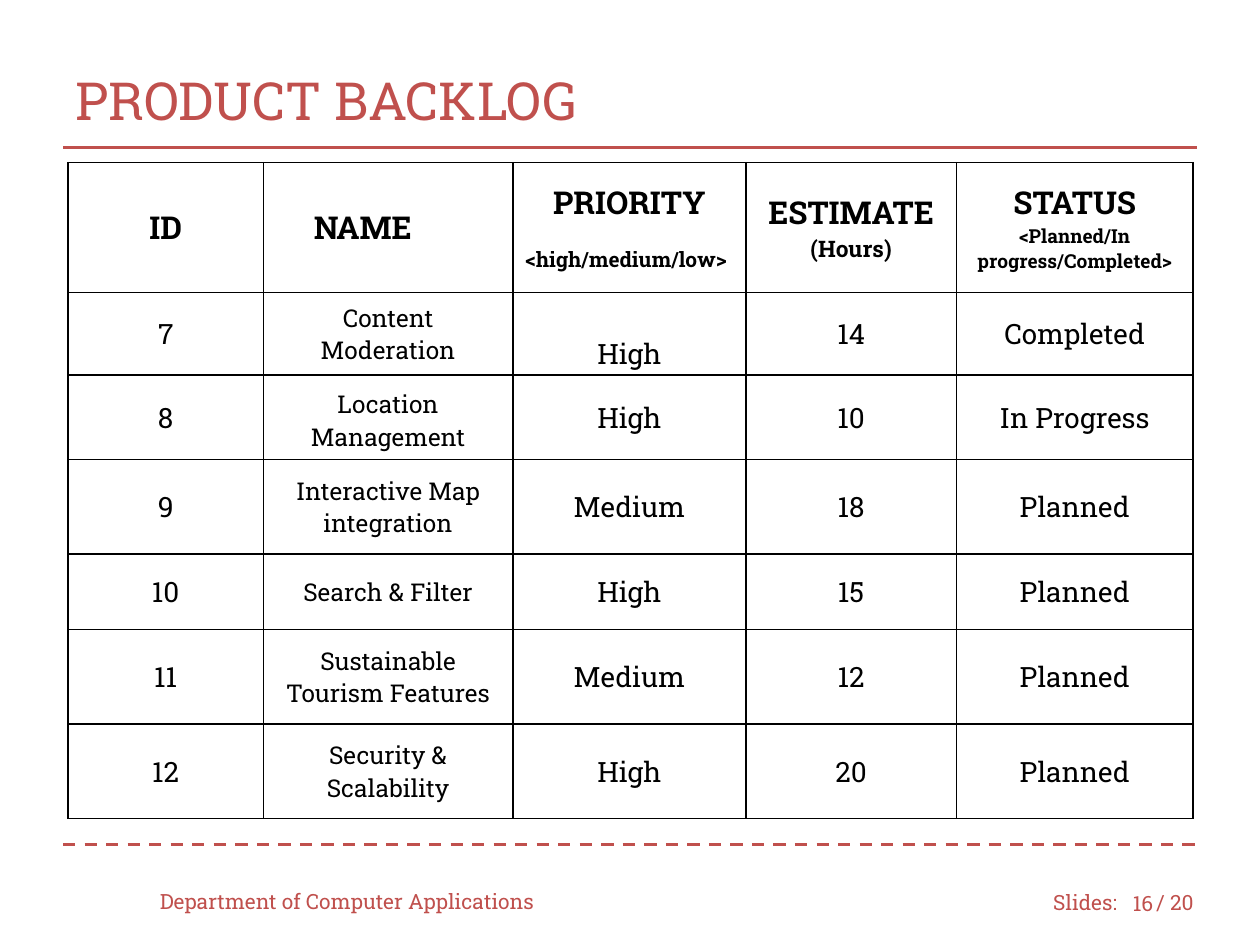
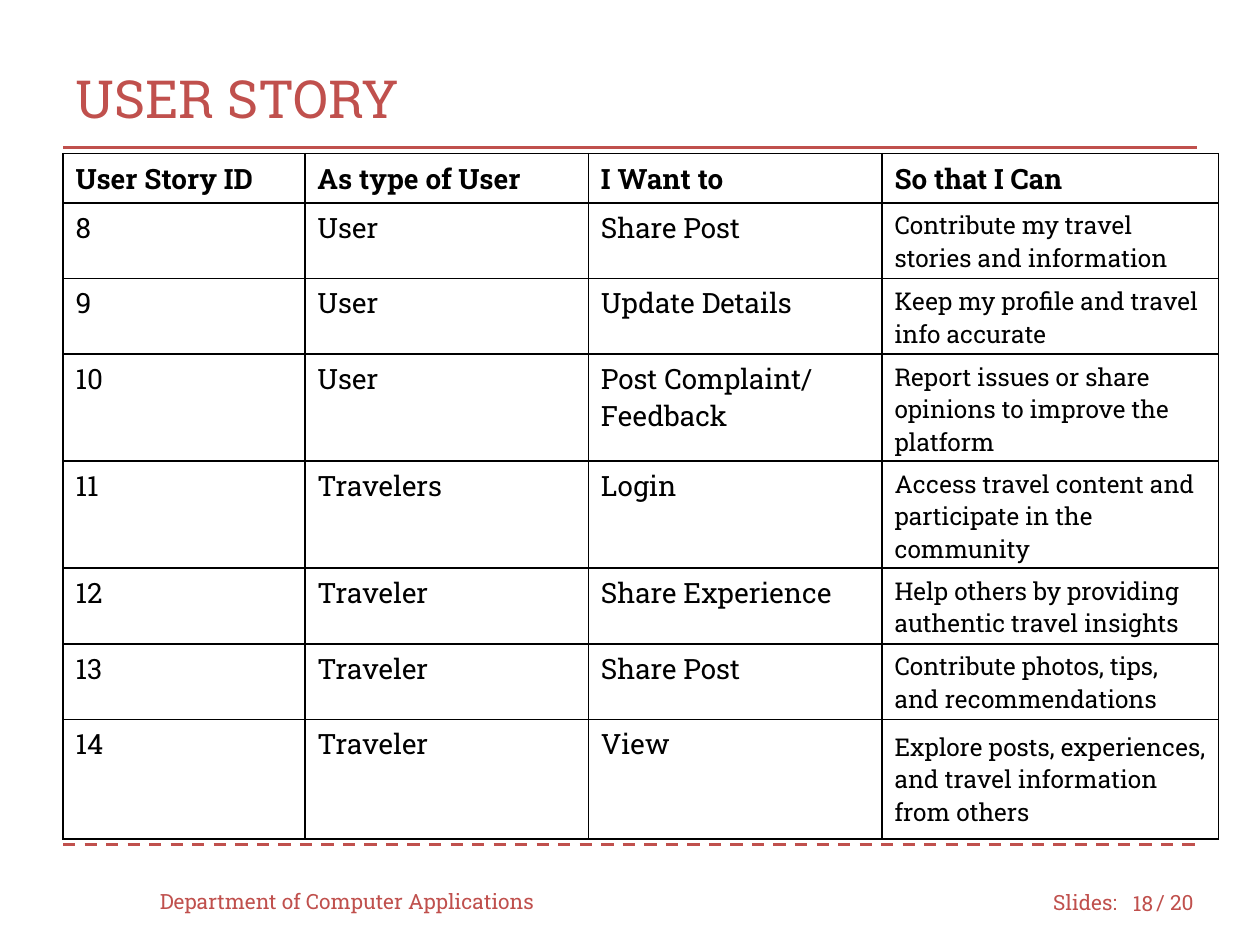
from itertools import product

from lxml.etree import SubElement
from pptx import Presentation
from pptx.dml.color import RGBColor
from pptx.enum.dml import MSO_LINE
from pptx.enum.shapes import MSO_CONNECTOR
from pptx.enum.text import MSO_ANCHOR as Anchor, PP_ALIGN as Align
from pptx.oxml.ns import qn
from pptx.util import Inches, Pt

COLORS = {"accent": "C0504D", "ink": "000000", "paper": "FFFFFF"}
FONT = "Roboto Slab"
TOTAL_SLIDES = 20
BODY_SIZE, DETAIL_SIZE = 16, 14

BACKLOG_COLUMNS = [1.55, 1.98, 1.85, 1.67, 1.88]
BACKLOG_ROWS = [1.03, 0.65, 0.67, 0.75, 0.6, 0.75, 0.75]
# Column heading, size of its hint, hint
BACKLOG_HEADINGS = [
    ("ID", None, None),
    ("NAME", None, None),
    ("PRIORITY", 12, "<high/medium/low>"),
    ("ESTIMATE", 13, "(Hours)"),
    ("STATUS", 11, "<Planned/In progress/Completed>"),
]
BACKLOG = [
    ("7", "Content Moderation", "High", "14", "Completed"),
    ("8", "Location Management", "High", "10", "In Progress"),
    ("9", "Interactive Map integration", "Medium", "18", "Planned"),
    ("10", "Search & Filter", "High", "15", "Planned"),
    ("11", "Sustainable Tourism Features", "Medium", "12", "Planned"),
    ("12", "Security & Scalability", "High", "20", "Planned"),
]

STORY_COLUMNS = [1.92, 2.25, 2.33, 2.67]
STORY_ROWS = [0.39, 0.6, 0.6, 0.85, 0.85, 0.6, 0.6, 0.95]
STORIES = [
    ("User Story ID", "As type of User", "I Want to", "So that I Can"),
    ("8", "User", "Share Post", "Contribute my travel stories and information"),
    ("9", "User", "Update Details", "Keep my profile and travel info accurate"),
    ("10", "User", "Post Complaint/\nFeedback",
     "Report issues or share opinions to improve the platform"),
    ("11", "Travelers", "Login",
     "Access travel content and participate in the community"),
    ("12", "Traveler", "Share Experience",
     "Help others by providing authentic travel insights"),
    ("13", "Traveler", "Share Post",
     "Contribute photos, tips, and recommendations"),
    ("14", "Traveler", "View",
     "Explore posts, experiences, and travel information from others"),
]


def rgb(name):
    return RGBColor.from_string(COLORS[name])


def write(frame, text, size=BODY_SIZE, color="ink", bold=False,
          align=Align.LEFT, before=0):
    """Add one paragraph per line of text, filling an empty first paragraph."""
    for line in text.split("\n"):
        paragraph = frame.paragraphs[0]
        if paragraph.runs:
            paragraph = frame.add_paragraph()
        paragraph.alignment = align
        paragraph.space_before = Pt(before)
        run = paragraph.add_run()
        run.text = line
        run.font.name = FONT
        run.font.size = Pt(size)
        run.font.bold = bold
        run.font.color.rgb = rgb(color)


def add_label(slide, text, left, top, width, height=0.4, size=12, **style):
    box = slide.shapes.add_textbox(*map(Inches, (left, top, width, height)))
    frame = box.text_frame
    frame.word_wrap = True
    frame.vertical_anchor = Anchor.MIDDLE
    write(frame, text, size=size, color="accent", **style)


def add_rule(slide, y, dash=None):
    rule = slide.shapes.add_connector(
        MSO_CONNECTOR.STRAIGHT, Inches(0.5), Inches(y), Inches(9.5), Inches(y))
    rule.line.color.rgb = rgb("accent")
    rule.line.width = Pt(1.75)
    if dash:
        rule.line.dash_style = dash
    SubElement(rule._element.spPr, qn("a:effectLst"))


def add_page(deck, title, number, title_top):
    """Add a blank slide with the shared title, rules and footer."""
    slide = deck.slides.add_slide(deck.slide_layouts[6])
    add_rule(slide, 6.7, MSO_LINE.DASH)
    add_rule(slide, 1.17)
    add_label(slide, title, 0.5, title_top, 9, 0.92, size=30)
    add_label(slide, "Department of Computer Applications", 1.17, 6.95, 3.33)
    add_label(slide, "Slides:", 8.26, 6.96, 0.75)
    add_label(slide, str(number), 8.83, 6.97, 0.42, align=Align.RIGHT)
    add_label(slide, f"/ {TOTAL_SLIDES}", 9.08, 6.96, 0.58)
    return slide


def outline(cell):
    properties = cell._tc.get_or_add_tcPr()
    for side in ("lnL", "lnR", "lnT", "lnB"):
        line = SubElement(properties, qn(f"a:{side}"), w=str(Pt(1)))
        fill = SubElement(line, qn("a:solidFill"))
        SubElement(fill, qn("a:srgbClr"), val=COLORS["ink"])


def add_grid(slide, left, top, columns, rows, fill=None):
    """Add an empty ruled table; without a fill the page shows through."""
    grid = slide.shapes.add_table(
        len(rows), len(columns), Inches(left), Inches(top),
        Inches(sum(columns)), Inches(sum(rows))).table
    grid.first_row = grid.horz_banding = False
    for column, width in zip(grid.columns, columns):
        column.width = Inches(width)
    for row, height in zip(grid.rows, rows):
        row.height = Inches(height)
    for r, c in product(range(len(rows)), range(len(columns))):
        cell = grid.cell(r, c)
        outline(cell)
        if fill:
            cell.fill.solid()
            cell.fill.fore_color.rgb = rgb(fill)
        else:
            cell.fill.background()
    return grid


def add_backlog(slide):
    grid = add_grid(slide, 0.54, 1.29, BACKLOG_COLUMNS, BACKLOG_ROWS, "paper")
    for r, c in product(range(len(BACKLOG_ROWS)), range(len(BACKLOG_COLUMNS))):
        cell = grid.cell(r, c)
        cell.vertical_anchor = Anchor.MIDDLE
        if r != 1 or c == 0:
            cell.margin_top = cell.margin_bottom = Inches(0.1)
        if r:
            write(cell.text_frame, BACKLOG[r - 1][c], align=Align.CENTER,
                  size=DETAIL_SIZE if c == 1 else BODY_SIZE)
            continue
        heading, hint_size, hint = BACKLOG_HEADINGS[c]
        is_name, is_priority = heading == "NAME", heading == "PRIORITY"
        write(cell.text_frame, heading, size=18, bold=True,
              align=Align.LEFT if is_name else Align.CENTER)
        if is_name:
            cell.margin_left = Inches(0.4)
        if hint:
            write(cell.text_frame, hint, size=hint_size, bold=True,
                  align=Align.LEFT if is_priority else Align.CENTER,
                  before=13 if is_priority else 0)
    # The first priority sits one line lower than its row
    grid.cell(1, 2).margin_top = Inches(0.34)


def add_stories(slide):
    grid = add_grid(slide, 0.5, 1.22, STORY_COLUMNS, STORY_ROWS)
    benefit = len(STORY_COLUMNS) - 1
    for r, story in enumerate(STORIES):
        for c, text in enumerate(story):
            write(grid.cell(r, c).text_frame, text, bold=r == 0,
                  size=DETAIL_SIZE if r and c == benefit else BODY_SIZE)
    grid.cell(len(STORIES) - 1, benefit).vertical_anchor = Anchor.MIDDLE


def main():
    deck = Presentation()
    deck.slide_width, deck.slide_height = Inches(10), Inches(7.5)
    add_backlog(add_page(deck, "PRODUCT BACKLOG", 16, title_top=0.33))
    add_stories(add_page(deck, "USER STORY", 18, title_top=0.31))
    deck.save("out.pptx")


if __name__ == "__main__":
    main()
